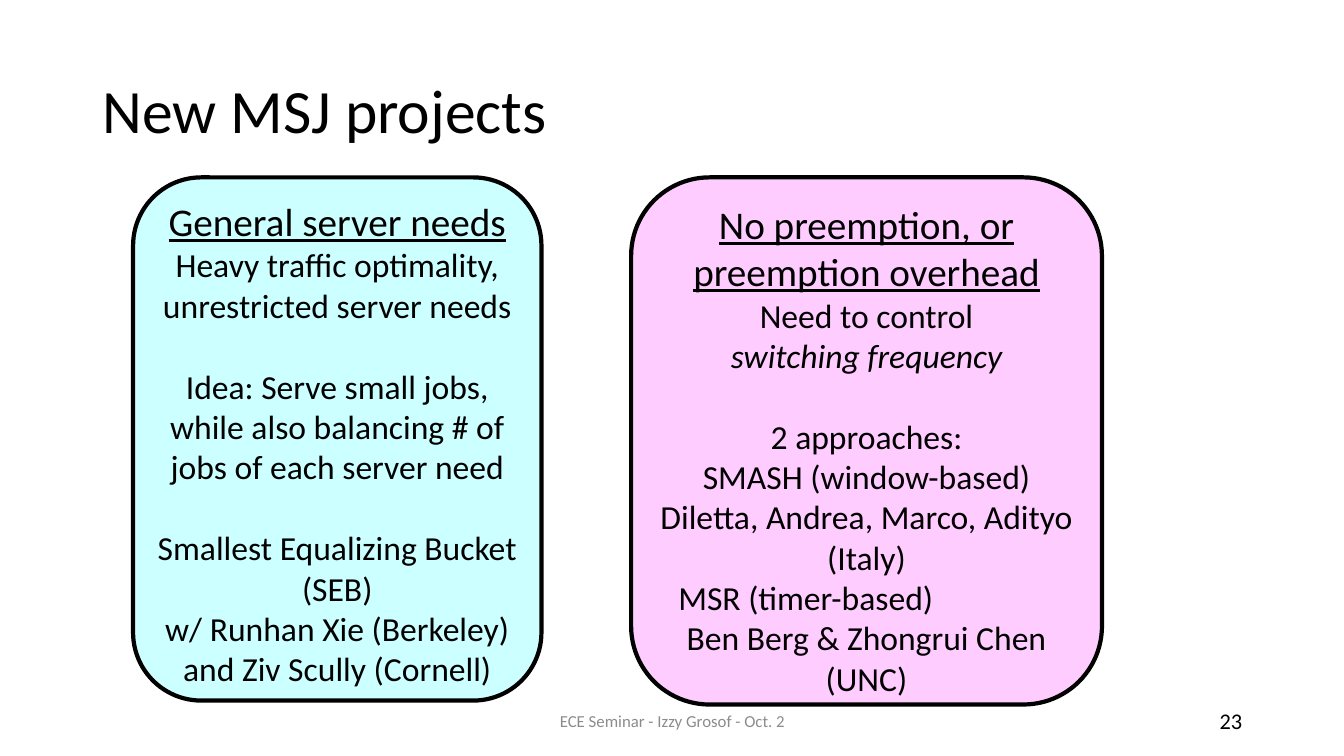
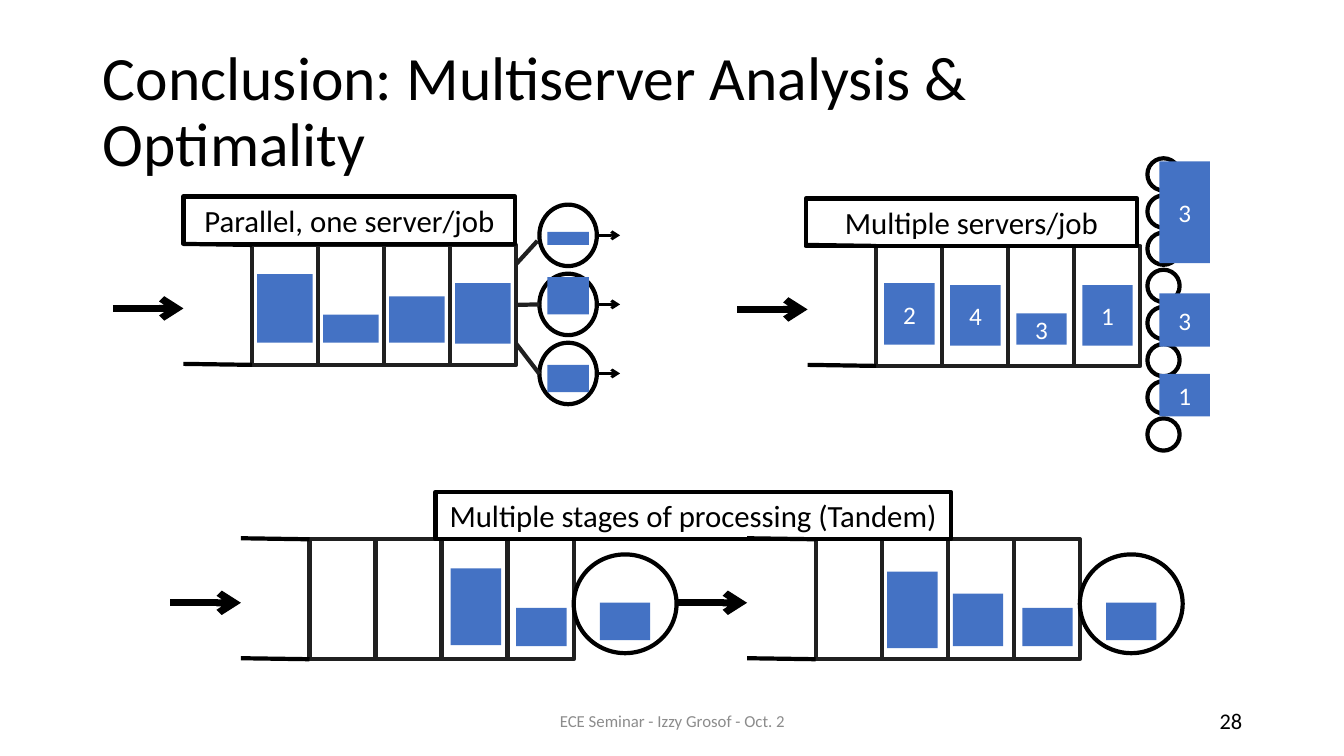
from lxml.etree import SubElement
from pptx import Presentation
from pptx.dml.color import RGBColor
from pptx.enum.shapes import MSO_CONNECTOR, MSO_SHAPE
from pptx.enum.text import MSO_ANCHOR, MSO_AUTO_SIZE, PP_ALIGN
from pptx.oxml.ns import qn
from pptx.util import Inches, Pt

FONT = "Calibri"
BLACK, WHITE, GREY = "000000", "FFFFFF", "8C8C8C"
CELL_LINE, JOB = "202020", "4472C4"
CYAN, PINK = "CCFFFF", "FFCCFF"

# Queue geometry
CELL_W, CELL_H, CELLS = 0.655, 1.19, 4
MOUTH, ARROW = 0.68, 0.7
JOB_W = 0.5


def color(value):
    return RGBColor.from_string(value)


def style(p, size, value=BLACK, align=PP_ALIGN.CENTER):
    p.alignment = align
    for r in p.runs:
        r.font.name = FONT
        r.font.size = Pt(size)
        r.font.color.rgb = color(value)


# Slide frame: title, footer, number
def add_footer(s, x, w, text, size, value, align):
    tf = s.shapes.add_textbox(Inches(x), Inches(6.95), Inches(w), Inches(0.4)).text_frame
    tf.word_wrap = True
    tf.vertical_anchor = MSO_ANCHOR.MIDDLE
    tf.text = text
    style(tf.paragraphs[0], size, value, align)


def new_slide(prs, title, number):
    s = prs.slides.add_slide(prs.slide_layouts[5])
    sp = s.shapes.title
    sp.left, sp.top, sp.width, sp.height = map(Inches, (0.92, 0.4, 11.5, 1.45))
    tf = sp.text_frame
    tf.text = title
    tf.auto_size = MSO_AUTO_SIZE.NONE
    tf.vertical_anchor = MSO_ANCHOR.MIDDLE
    p = tf.paragraphs[0]
    p.line_spacing = 0.9
    style(p, 44, align=PP_ALIGN.LEFT)
    add_footer(s, 4.42, 4.5, "ECE Seminar - Izzy Grosof - Oct. 2", 12, GREY, PP_ALIGN.CENTER)
    add_footer(s, 9.42, 3, number, 16, BLACK, PP_ALIGN.RIGHT)
    return s


# Basic shapes and lines
def add_box(shapes, kind, x, y, w, h, fill=None, line=None):
    sp = shapes.add_shape(kind, Inches(x), Inches(y), Inches(w), Inches(h))
    sp.shadow.inherit = False
    if fill:
        sp.fill.solid()
        sp.fill.fore_color.rgb = color(fill)
    else:
        sp.fill.background()
    if line:
        sp.line.color.rgb = color(line)
        sp.line.width = Pt(3)
    else:
        sp.line.fill.background()
    return sp


def add_line(shapes, x1, y1, x2, y2, width=3, value=BLACK, arrow=False):
    c = shapes.add_connector(MSO_CONNECTOR.STRAIGHT, Inches(x1), Inches(y1),
                             Inches(x2), Inches(y2))
    c.line.color.rgb = color(value)
    c.line.width = Pt(width)
    if arrow:
        SubElement(c.line._get_or_add_ln(), qn("a:tailEnd"), type="arrow")
    SubElement(c._element.spPr, qn("a:effectLst"))
    return c


def add_server(shapes, x, y, w, h):
    add_box(shapes, MSO_SHAPE.OVAL, x, y, w, h, WHITE, BLACK)


def add_job(shapes, x, y, w, h, text=""):
    sp = add_box(shapes, MSO_SHAPE.RECTANGLE, x, y, w, h, JOB)
    if text:
        tf = sp.text_frame
        tf.vertical_anchor = MSO_ANCHOR.MIDDLE
        tf.text = text
        style(tf.paragraphs[0], 18, WHITE)


def add_label(shapes, x, y, w, text):
    tf = add_box(shapes, MSO_SHAPE.RECTANGLE, x, y, w, 0.47, line=BLACK).text_frame
    tf.word_wrap = True
    tf.vertical_anchor = MSO_ANCHOR.TOP
    tf.text = text
    style(tf.paragraphs[0], 22)


def add_queue(shapes, x, y):
    """Draw cells, open mouth and arrival arrow; return the last cell."""
    for i in range(CELLS):
        cell = add_box(shapes, MSO_SHAPE.RECTANGLE, x + i * CELL_W, y,
                       CELL_W, CELL_H, WHITE, CELL_LINE)
    mouth = x - MOUTH
    for edge in (y, y + CELL_H):
        add_line(shapes, mouth, edge - 0.01, x, edge)
    add_line(shapes, mouth - ARROW, y + 0.63, mouth, y + 0.63, 5, arrow=True)
    return cell


# Rounded card: heading, then (text, gap before, italic, left indent)
def add_card(s, x, w, h, fill, heading, lines):
    sp = add_box(s.shapes, MSO_SHAPE.ROUNDED_RECTANGLE, x, 1.76, w, h, fill, BLACK)
    tf = sp.text_frame
    tf.word_wrap = True
    tf.vertical_anchor = MSO_ANCHOR.TOP
    tf.margin_left = tf.margin_right = tf.margin_top = tf.margin_bottom = 0
    tf.text = heading
    p = tf.paragraphs[0]
    style(p, 28)
    p.runs[0].font.underline = True
    for text, gap, italic, indent in lines:
        p = tf.add_paragraph()
        p.text = text
        style(p, 24)
        p.runs[0].font.italic = italic
        if gap:
            p.space_before = Pt(29)
        if indent:
            p.alignment = PP_ALIGN.LEFT
            p._p.get_or_add_pPr().set("marL", str(Inches(indent)))


# Diagrams
def draw_parallel(s):
    shapes = s.shapes.add_group_shape().shapes
    x, y = 2.5, 2.43
    last = add_queue(shapes, x, y)
    for i, (top, h) in enumerate([(2.72, 0.68), (3.12, 0.28), (2.94, 0.46), (2.81, 0.6)]):
        add_job(shapes, x + 0.05 + i * CELL_W, top, 0.55, h)
    for i, (top, h) in enumerate([(2.3, 0.13), (2.75, 0.37), (3.62, 0.27)]):
        server_y = 2.03 + i * 0.685
        middle = server_y + 0.305
        add_server(shapes, 5.35, server_y, 0.57, 0.61)
        add_job(shapes, 5.43, top, 0.41, h)
        add_line(shapes, 5.92, middle, 6.15, middle, 2, arrow=True)
    add_line(shapes, 5.12, 2.62, 5.33, 2.39, value=CELL_LINE)
    c = add_line(shapes, 5.12, 3.02, 5.35, 3.02, value=CELL_LINE)
    c.begin_connect(last, 3)
    add_line(shapes, 5.12, 3.41, 5.35, 3.71, value=CELL_LINE)
    add_label(shapes, 1.82, 1.95, 3.29, "Parallel, one server/job")


def draw_multiserver(s):
    shapes = s.shapes.add_group_shape().shapes
    for i in range(8):
        add_server(shapes, 11.38, 1.57 + i * 0.3686, 0.32, 0.32)
    x, y = 8.69, 2.44
    add_queue(shapes, x, y)
    waiting = [(2.81, 0.61, "2"), (2.83, 0.6, "4"), (3.11, 0.31, "3"), (2.83, 0.6, "1")]
    for i, (top, h, text) in enumerate(waiting):
        add_job(shapes, x + 0.08 + i * CELL_W, top, JOB_W, h, text)
    for top, h, text in [(1.6, 1.01, "3"), (2.91, 0.53, "3"), (3.71, 0.42, "1")]:
        add_job(shapes, 11.5, top, JOB_W, h, text)
    add_label(shapes, 7.99, 1.97, 3.29, "Multiple servers/job")


def draw_tandem(s):
    shapes = s.shapes.add_group_shape().shapes
    y = 5.35
    stages = [
        (3.07, [(4.47, 5.64, 0.76), (5.12, 6.03, 0.38)]),
        (8.09, [(8.8, 5.67, 0.76), (9.45, 5.89, 0.52), (10.14, 6.03, 0.38)]),
    ]
    for x, jobs in stages:
        add_queue(shapes, x, y)
        server_x = x + CELLS * CELL_W
        add_server(shapes, server_x, 5.5, 1.02, 0.98)
        for left, top, h in jobs + [(server_x + 0.26, 5.98, 0.37)]:
            add_job(shapes, left, top, JOB_W, h)
    add_label(shapes, 4.32, 4.88, 5.11, "Multiple stages of processing (Tandem)")


def main():
    prs = Presentation()
    prs.slide_width, prs.slide_height = Inches(13.33), Inches(7.5)

    # Projects
    s = new_slide(prs, "New MSJ projects", "23")
    add_card(s, 1.32, 4.05, 5.19, CYAN, "General server needs", [
        ("Heavy traffic optimality, unrestricted server needs", False, False, 0),
        ("Idea: Serve small jobs, while also balancing # of jobs of each server need",
         True, False, 0),
        ("Smallest Equalizing Bucket (SEB)", True, False, 0),
        ("w/ Runhan Xie (Berkeley) and Ziv Scully (Cornell)", False, False, 0),
    ])
    add_card(s, 6.26, 4.67, 5.23, PINK, "No preemption, or preemption overhead", [
        ("Need to control", False, False, 0),
        ("switching frequency", False, True, 0),
        ("2 approaches:", True, False, 0),
        ("SMASH (window-based) Diletta, Andrea, Marco, Adityo (Italy)", False, False, 0),
        ("MSR (timer-based)", False, False, 0.24),
        ("Ben Berg & Zhongrui Chen (UNC)", False, False, 0),
    ])

    # Conclusion
    s = new_slide(prs, "Conclusion: Multiserver Analysis & Optimality", "28")
    draw_parallel(s)
    draw_multiserver(s)
    draw_tandem(s)

    prs.save("out.pptx")


if __name__ == "__main__":
    main()
